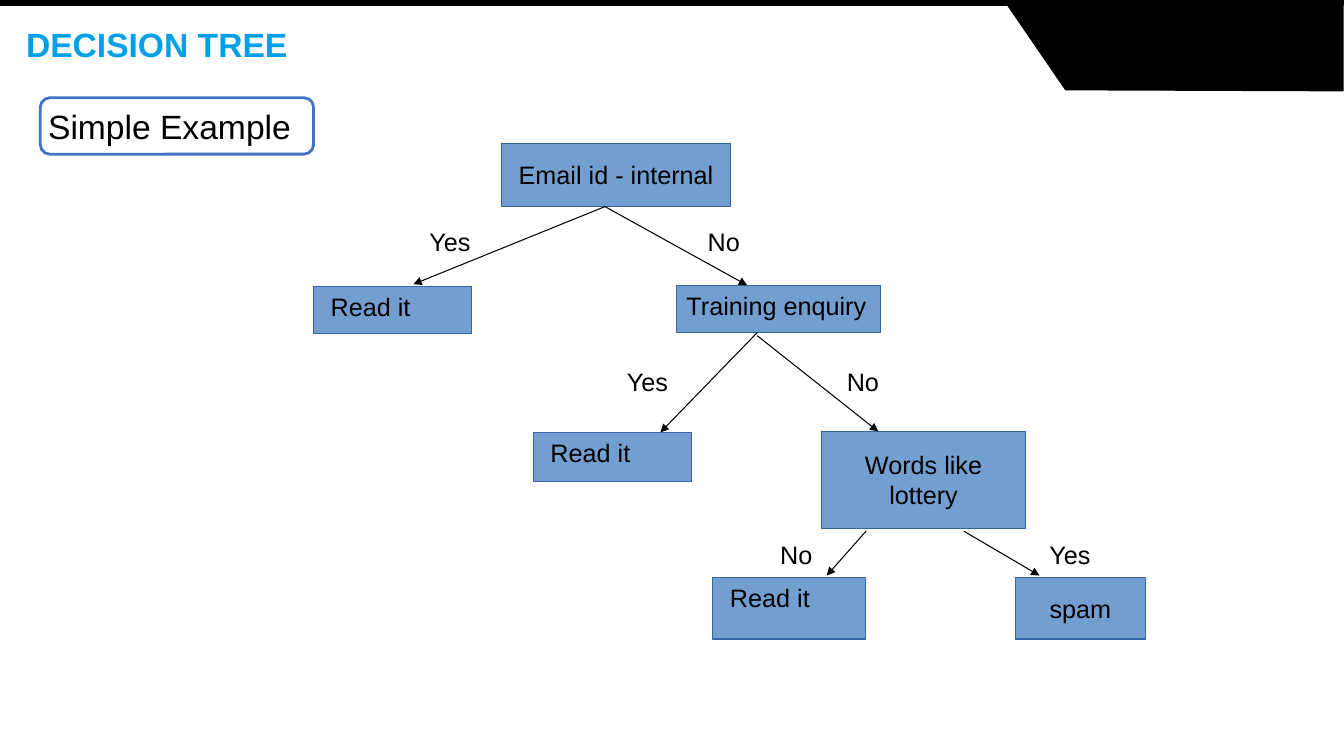
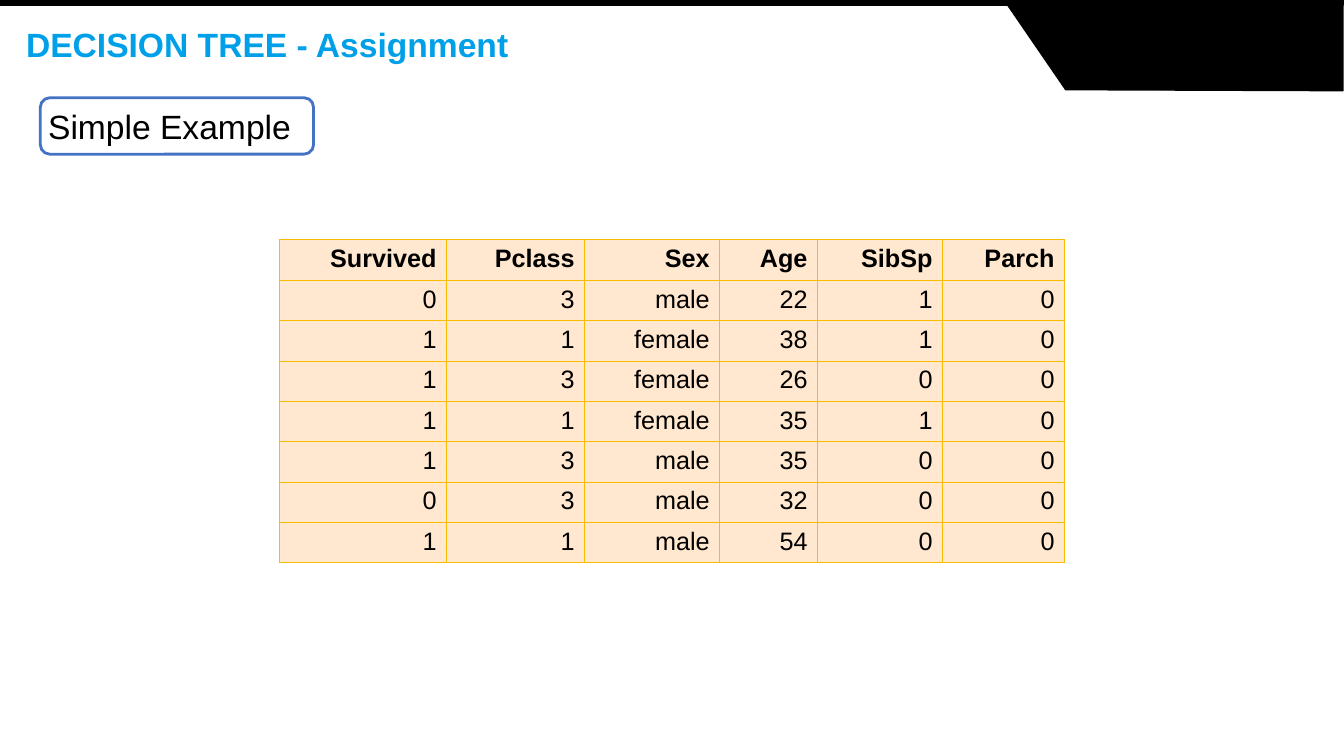
from dataclasses import dataclass

from lxml import etree
from pptx import Presentation
from pptx.dml.color import RGBColor
from pptx.enum.shapes import MSO_CONNECTOR, MSO_SHAPE
from pptx.enum.text import MSO_ANCHOR, PP_ALIGN
from pptx.oxml.ns import qn
from pptx.util import Inches, Pt

RECT, ROUND = MSO_SHAPE.RECTANGLE, MSO_SHAPE.ROUNDED_RECTANGLE
LINE = MSO_CONNECTOR.STRAIGHT
TOP, MIDDLE = MSO_ANCHOR.TOP, MSO_ANCHOR.MIDDLE
LEFT, CENTER, RIGHT = PP_ALIGN.LEFT, PP_ALIGN.CENTER, PP_ALIGN.RIGHT


@dataclass(frozen=True)
class Theme:
    font: str = "Arial"
    black: str = "000000"
    white: str = "FFFFFF"
    title: str = "00A0E8"
    badge: str = "4472C4"
    node: str = "729FCF"
    edge: str = "3465A4"
    cell: str = "FFE8CF"
    grid: str = "F9BC00"
    large: int = 24
    body: int = 18
    thin: float = 0.75


THEME = Theme()

SIDE, HEAD = 0.1, 0.17

NODES = [
    ("Email id - internal", (4.97, 1.42, 2.28, 0.63), CENTER, SIDE),
    ("Read it", (3.11, 2.84, 1.57, 0.47), LEFT, HEAD),
    ("Training enquiry", (6.71, 2.83, 2.02, 0.47), LEFT, SIDE),
    ("Read it", (5.29, 4.29, 1.57, 0.49), LEFT, HEAD),
    ("Words like\nlottery", (8.15, 4.28, 2.02, 0.96), CENTER, SIDE),
    ("Read it", (7.07, 5.73, 1.51, 0.61), LEFT, HEAD),
    ("spam", (10.07, 5.73, 1.29, 0.61), CENTER, SIDE),
]

ARROWS = [
    ((6, 2.05), (4.1, 2.82)),
    ((6, 2.05), (7.41, 2.83)),
    ((7.51, 3.3), (6.55, 4.29)),
    ((7.51, 3.33), (8.71, 4.28)),
    ((8.59, 5.27), (8.2, 5.71)),
    ((9.56, 5.27), (10.31, 5.71)),
]

LABELS = [
    ("Yes", 4.16, 2.2),
    ("No", 6.92, 2.2),
    ("Yes", 6.12, 3.58),
    ("No", 8.3, 3.58),
    ("No", 7.64, 5.3),
    ("Yes", 10.31, 5.3),
]

COLUMNS = [1.66, 1.37, 1.34, 0.97, 1.24, 1.21]
ROWS = [
    ("Survived", "Pclass", "Sex", "Age", "SibSp", "Parch"),
    (0, 3, "male", 22, 1, 0),
    (1, 1, "female", 38, 1, 0),
    (1, 3, "female", 26, 0, 0),
    (1, 1, "female", 35, 1, 0),
    (1, 3, "male", 35, 0, 0),
    (0, 3, "male", 32, 0, 0),
    (1, 1, "male", 54, 0, 0),
]


def rgb(color):
    return RGBColor.from_string(color)


def box(at):
    return [Inches(n) for n in at]


def paint(shape, fill, line, width):
    shape.shadow.inherit = False
    shape.fill.solid()
    shape.fill.fore_color.rgb = rgb(fill)
    shape.line.color.rgb = rgb(line)
    shape.line.width = Pt(width)


def write(frame, text, size, color=THEME.black, bold=False, align=LEFT):
    frame.text = text
    for para in frame.paragraphs:
        para.alignment = align
        font = para.font
        font.name, font.size, font.bold = THEME.font, Pt(size), bold
        font.color.rgb = rgb(color)


def inset(frame, side, edge=0.05, right=None):
    frame.margin_left = Inches(side)
    frame.margin_right = Inches(side if right is None else right)
    frame.margin_top = frame.margin_bottom = Inches(edge)


def add_text(slide, text, at, size, color=THEME.black, bold=False, anchor=TOP):
    frame = slide.shapes.add_textbox(*box(at)).text_frame
    frame.word_wrap = True
    frame.vertical_anchor = anchor
    inset(frame, SIDE)
    write(frame, text, size, color, bold)
    return frame


def add_band(slide):
    bar = slide.shapes.add_shape(RECT, *box((0, 0, 13.32, 0.05)))
    paint(bar, THEME.black, THEME.black, 1)
    pen = slide.shapes.build_freeform(Inches(9.96), 0)
    points = [(10.57, 0.89), (13.32, 0.9), (13.32, 0.01)]
    pen.add_line_segments([box(point) for point in points], close=True)
    paint(pen.convert_to_shape(), THEME.black, THEME.black, 1)


def add_badge(slide, text):
    badge = slide.shapes.add_shape(ROUND, *box((0.4, 0.97, 2.71, 0.56)))
    paint(badge, THEME.white, THEME.badge, 2)
    frame = badge.text_frame
    frame.vertical_anchor = MIDDLE
    inset(frame, 0.05)
    write(frame, text, THEME.large)


def add_page(deck, title):
    slide = deck.slides.add_slide(deck.slide_layouts[6])
    add_band(slide)
    frame = add_text(slide, title, (0.16, 0.23, 12.18, 0.47),
                     THEME.large, THEME.title, True, MIDDLE)
    frame.paragraphs[0].line_spacing = 0.9
    add_badge(slide, "Simple Example")
    return slide


def add_node(slide, text, at, align, left):
    node = slide.shapes.add_shape(RECT, *box(at))
    paint(node, THEME.node, THEME.edge, THEME.thin)
    frame = node.text_frame
    frame.word_wrap = align == LEFT
    frame.vertical_anchor = TOP if align == LEFT else MIDDLE
    inset(frame, left, right=SIDE)
    write(frame, text, THEME.body, align=align)


def add_arrow(slide, start, end):
    arrow = slide.shapes.add_connector(LINE, *box(start + end))
    arrow.line.color.rgb = rgb(THEME.black)
    arrow.line.width = Pt(THEME.thin)
    etree.SubElement(arrow.line._get_or_add_ln(), qn("a:tailEnd"), type="triangle")
    etree.SubElement(arrow._element.spPr, qn("a:effectLst"))


def add_borders(cell):
    props = cell._tc.get_or_add_tcPr()
    for side in ("lnL", "lnR", "lnT", "lnB"):
        line = etree.SubElement(props, qn("a:" + side), w=str(Pt(THEME.thin)))
        fill = etree.SubElement(line, qn("a:solidFill"))
        etree.SubElement(fill, qn("a:srgbClr"), val=THEME.grid)


def add_grid(slide, left, top, widths, height, rows):
    at = (left, top, sum(widths), height * len(rows))
    table = slide.shapes.add_table(len(rows), len(widths), *box(at)).table
    table.horz_banding = False
    for column, width in zip(table.columns, widths):
        column.width = Inches(width)
    for index, values in enumerate(rows):
        table.rows[index].height = Inches(height)
        for cell, value in zip(table.rows[index].cells, values):
            add_borders(cell)
            cell.fill.solid()
            cell.fill.fore_color.rgb = rgb(THEME.cell)
            write(cell.text_frame, str(value), THEME.body,
                  bold=index == 0, align=RIGHT)


def draw_tree(deck):
    slide = add_page(deck, "DECISION TREE")
    for node in NODES:
        add_node(slide, *node)
    for start, end in ARROWS:
        add_arrow(slide, start, end)
    for text, left, top in LABELS:
        add_text(slide, text, (left, top, 0.75, 0.38), THEME.body)


def draw_task(deck):
    slide = add_page(deck, "DECISION TREE - Assignment")
    add_grid(slide, 2.77, 2.38, COLUMNS, 0.4, ROWS)


def main():
    deck = Presentation()
    deck.slide_width, deck.slide_height = Inches(13.33), Inches(7.5)
    draw_tree(deck)
    draw_task(deck)
    deck.save("out.pptx")


if __name__ == "__main__":
    main()
